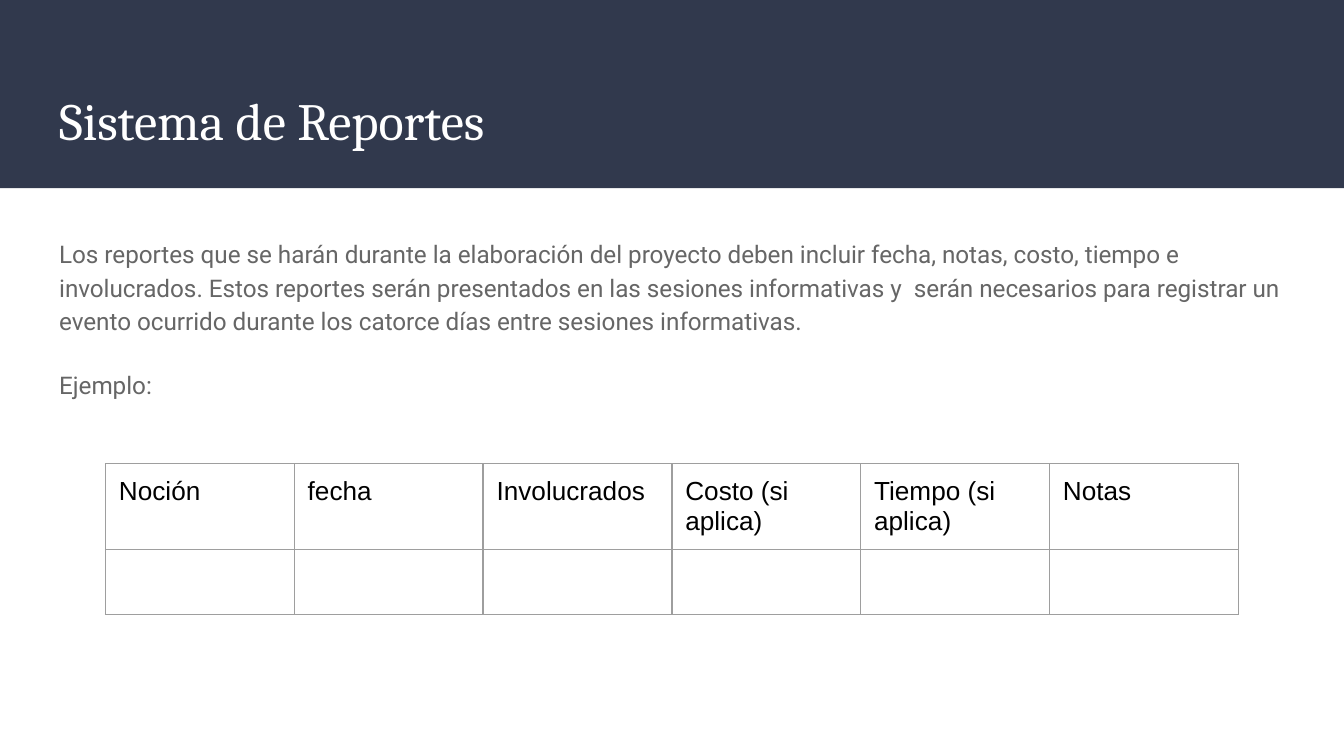
from lxml import etree
from pptx import Presentation
from pptx.dml.color import RGBColor
from pptx.enum.shapes import MSO_SHAPE
from pptx.enum.text import MSO_ANCHOR, MSO_AUTO_SIZE, PP_ALIGN
from pptx.oxml.ns import qn
from pptx.util import Inches, Pt

RECTANGLE = MSO_SHAPE.RECTANGLE
TOP, MIDDLE = MSO_ANCHOR.TOP, MSO_ANCHOR.MIDDLE
NO_AUTOFIT = MSO_AUTO_SIZE.NONE
LEFT = PP_ALIGN.LEFT

NAVY = RGBColor(0x31, 0x39, 0x4D)
WHITE = RGBColor(0xFF, 0xFF, 0xFF)
GRAY = RGBColor(0x66, 0x66, 0x66)
BLACK = RGBColor(0x00, 0x00, 0x00)
BORDER = RGBColor(0x9E, 0x9E, 0x9E)

# Content
TITLE = "Sistema de Reportes"
BODY = [
    "Los reportes que se harán durante la elaboración del proyecto deben incluir "
    "fecha, notas, costo, tiempo e involucrados. Estos reportes serán presentados "
    "en las sesiones informativas y  serán necesarios para registrar un evento "
    "ocurrido durante los catorce días entre sesiones informativas.",
    "Ejemplo:",
]
ROWS = [
    ["Noción", "fecha", "Involucrados", "Costo (si aplica)", "Tiempo (si aplica)", "Notas"],
    [""] * 6,
]
ROW_HEIGHTS = [0.64, 0.48]
TABLE_TOP, TABLE_WIDTH = Inches(3.45), Inches(8.43)
MARGIN = Inches(0.1)


def set_margins(target):
    target.margin_left = target.margin_right = MARGIN
    target.margin_top = target.margin_bottom = MARGIN


def write(paragraph, text, *, font, size, color, line=1.0, before=0):
    paragraph.alignment = LEFT
    paragraph.line_spacing = line
    paragraph.space_before, paragraph.space_after = Pt(before), Pt(0)
    span = paragraph.add_run()
    span.text = text
    span.font.name, span.font.size = font, Pt(size)
    span.font.color.rgb = color


def place(box, left, top, width, height, anchor):
    box.left, box.top = Inches(left), Inches(top)
    box.width, box.height = Inches(width), Inches(height)
    frame = box.text_frame
    frame.word_wrap, frame.auto_size = True, NO_AUTOFIT
    frame.vertical_anchor = anchor
    set_margins(frame)
    return frame


def remove_bullet(paragraph):
    properties = paragraph._p.get_or_add_pPr()
    properties.set("marL", "0")
    properties.set("indent", "0")
    etree.SubElement(properties, qn("a:buNone"))


def add_borders(cell):
    properties = cell._tc.get_or_add_tcPr()
    for index, side in enumerate(("a:lnL", "a:lnR", "a:lnT", "a:lnB")):
        line = etree.Element(qn(side), w=str(Pt(0.75)))
        fill = etree.SubElement(line, qn("a:solidFill"))
        etree.SubElement(fill, qn("a:srgbClr"), val=str(BORDER))
        properties.insert(index, line)


# Widescreen page, 16:9
deck = Presentation()
deck.slide_width = Inches(10)
deck.slide_height = deck.slide_width * 9 // 16
page = deck.slides.add_slide(deck.slide_layouts.get_by_name("Title and Content"))
title, body = page.placeholders

# Header band, behind the title
band = page.shapes.add_shape(RECTANGLE, 0, 0, deck.slide_width, Inches(1.4))
band.shadow.inherit = False
band.fill.solid()
band.fill.fore_color.rgb = NAVY
band.line.fill.background()
title._element.addprevious(band._element)

# Title
frame = place(title, 0.34, 0.55, 9.32, 0.68, MIDDLE)
write(frame.paragraphs[0], TITLE, font="Cambria", size=28, color=WHITE)

# Body
frame = place(body, 0.34, 1.65, 9.32, 3.36, TOP)
for index, text in enumerate(BODY):
    paragraph = frame.add_paragraph() if index else frame.paragraphs[0]
    write(paragraph, text, font="Roboto", size=13, color=GRAY, line=1.15,
          before=16 if index else 0)
    remove_bullet(paragraph)

# Report table, centred on the page
table = page.shapes.add_table(
    len(ROWS), len(ROWS[0]), (deck.slide_width - TABLE_WIDTH) // 2, TABLE_TOP,
    TABLE_WIDTH, Inches(sum(ROW_HEIGHTS))).table
table.first_row = table.horz_banding = False
for row, height, texts in zip(table.rows, ROW_HEIGHTS, ROWS):
    row.height = Inches(height)
    for cell, text in zip(row.cells, texts):
        set_margins(cell)
        cell.fill.background()
        add_borders(cell)
        paragraph = cell.text_frame.paragraphs[0]
        if text:
            write(paragraph, text, font="Arial", size=14, color=BLACK)
        else:
            paragraph.font.size = Pt(14)

deck.save("out.pptx")
